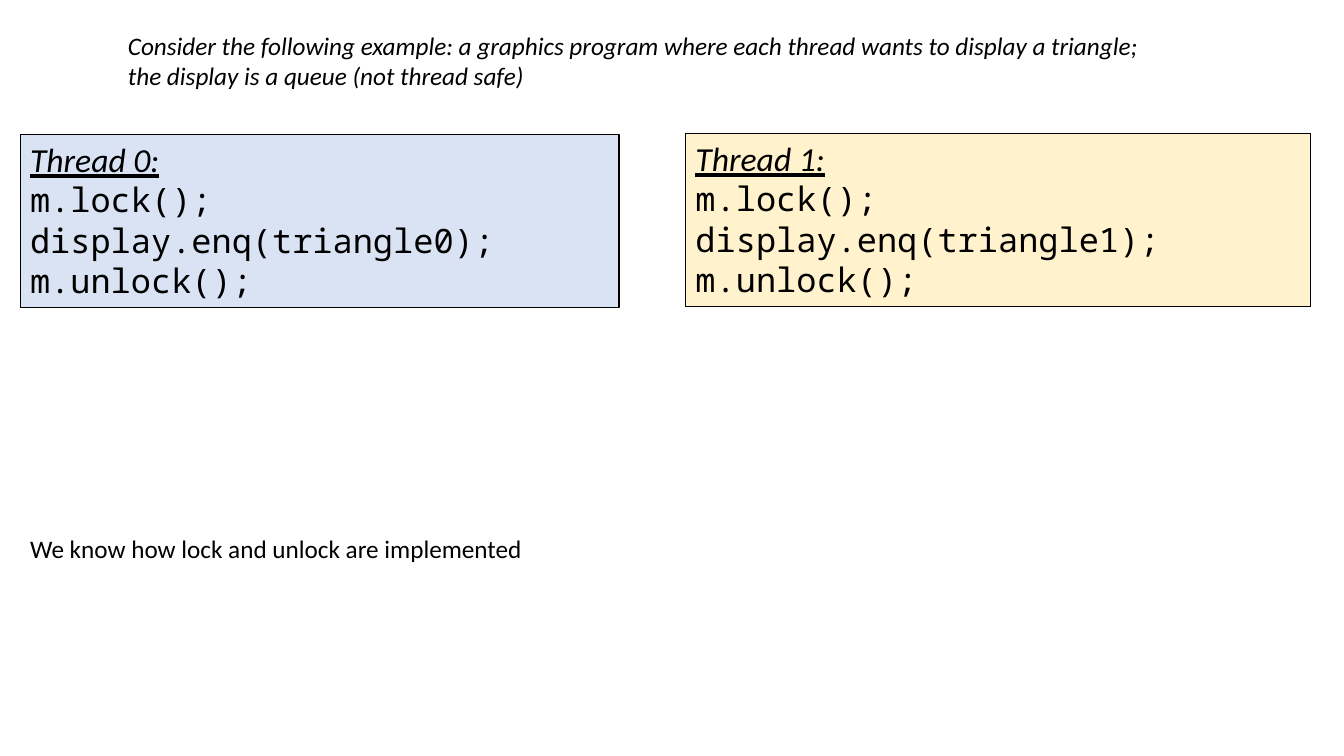
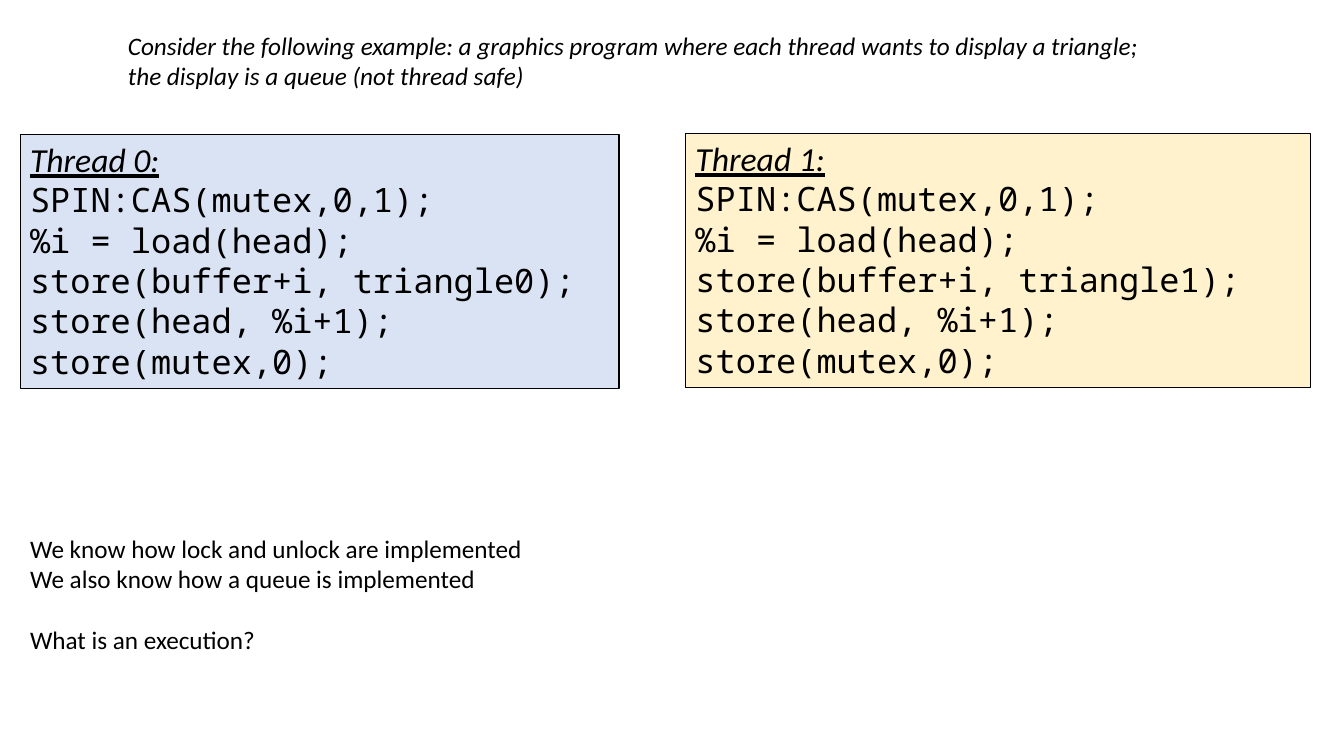
from pptx import Presentation
from pptx.dml.color import RGBColor
from pptx.enum import shapes, text
from pptx.util import Inches, Pt

COLORS = {"black": "000000", "blue": "DAE3F3", "yellow": "FFF2CC"}
BODY_FONT, CODE_FONT = "Calibri", "Noto Sans Mono"

INTRO = ("Consider the following example: a graphics program where each thread "
         "wants to display a triangle;\n"
         "the display is a queue (not thread safe)")
LOCKS_KNOWN = "We know how lock and unlock are implemented"

# Code uses {n} for the thread number.
SLIDES = [
    {
        "code": ["m.lock();", "display.enq(triangle{n});", "m.unlock();"],
        "notes": [LOCKS_KNOWN],
    },
    {
        "code": ["SPIN:CAS(mutex,0,1);", "%i = load(head);",
                 "store(buffer+i, triangle{n});", "store(head, %i+1);",
                 "store(mutex,0);"],
        "notes": [LOCKS_KNOWN + "\nWe also know how a queue is implemented",
                  "What is an execution?"],
    },
]

# Left, top, width and fill of each thread's panel
PANELS = [(0.2, 1.33, 5.94, "blue"), (6.8, 1.32, 6.2, "yellow")]
PANEL_PADDING, CODE_LINE = 0.12, 0.4
NOTE_LINE, NOTE_GAP = 0.3, 22


def rgb(name):
    return RGBColor.from_string(COLORS[name])


def add_text(tf, content, first=False, size=18, font=BODY_FONT,
             italic=False, underline=False, before=0):
    """Write one paragraph, with line breaks at newlines."""
    p = tf.paragraphs[0] if first else tf.add_paragraph()
    p.text = content
    p.alignment = text.PP_ALIGN.LEFT
    p.space_before = Pt(before)
    for r in p.runs:
        r.font.size, r.font.name = Pt(size), font
        r.font.italic, r.font.underline = italic, underline
        r.font.color.rgb = rgb("black")


def add_text_box(s, left, top, width, height, paragraphs, **style):
    tf = s.shapes.add_textbox(*map(Inches, (left, top, width, height))).text_frame
    tf.word_wrap = True
    for i, content in enumerate(paragraphs):
        add_text(tf, content, first=i == 0, before=NOTE_GAP if i else 0, **style)


def add_thread_panel(s, number, code):
    left, top, width, fill = PANELS[number]
    height = PANEL_PADDING + CODE_LINE * (len(code) + 1)
    sp = s.shapes.add_shape(shapes.MSO_SHAPE.RECTANGLE,
                            *map(Inches, (left, top, width, height)))
    sp.shadow.inherit = False
    sp.fill.solid()
    sp.fill.fore_color.rgb = rgb(fill)
    sp.line.color.rgb = rgb("black")
    sp.line.width = Pt(0.75)
    tf = sp.text_frame
    tf.word_wrap = True
    tf.vertical_anchor = text.MSO_ANCHOR.TOP
    add_text(tf, f"Thread {number}:", first=True, size=24, italic=True, underline=True)
    for line in code:
        add_text(tf, line.replace("{n}", str(number)), size=24, font=CODE_FONT)


def main():
    prs = Presentation()
    prs.slide_width, prs.slide_height = Inches(13.33), Inches(7.5)
    for content in SLIDES:
        s = prs.slides.add_slide(prs.slide_layouts[6])
        for number in range(len(PANELS)):
            add_thread_panel(s, number, content["code"])
        add_text_box(s, 1.17, 0.25, 10.39, 0.71, [INTRO], italic=True)
        notes = content["notes"]
        lines = len("\n\n".join(notes).split("\n"))
        add_text_box(s, 0.2, 5.24, 5.14, 0.1 + NOTE_LINE * lines, notes)
    prs.save("out.pptx")


if __name__ == "__main__":
    main()
